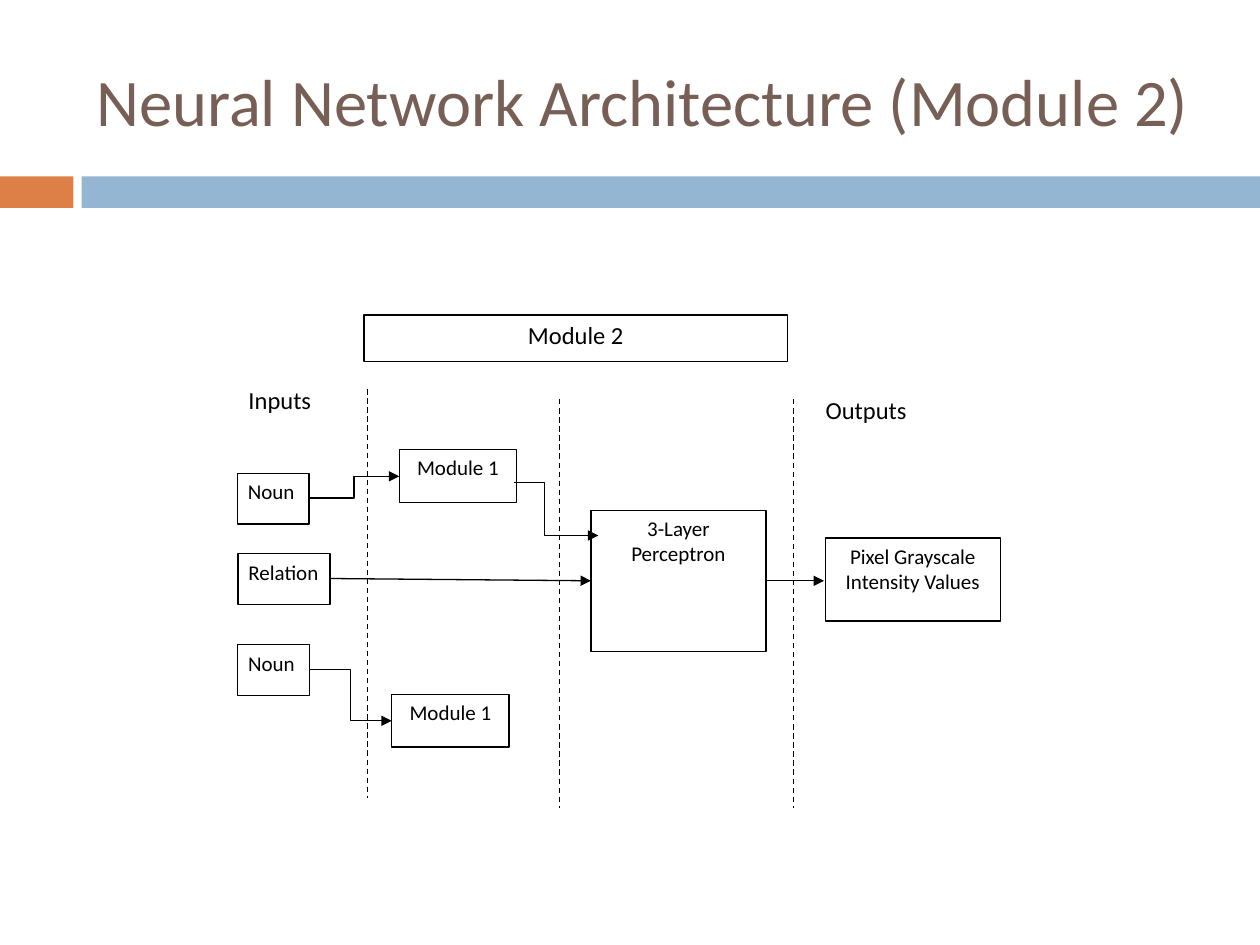
from collections import namedtuple
from dataclasses import dataclass

from lxml import etree
from pptx import Presentation
from pptx.dml.color import RGBColor
from pptx.enum import dml, shapes, text
from pptx.oxml import ns
from pptx.util import Pt


@dataclass(frozen=True)
class Theme:
    font: str = "Calibri"
    title: str = "775F55"
    accent: str = "DD8047"
    bar: str = "94B6D2"
    ink: str = "000000"
    paper: str = "FFFFFF"
    title_size: int = 38
    label_size: int = 14
    node_size: int = 12
    line: float = 0.75


THEME = Theme()
Box = namedtuple("Box", "x y w h")


def color(value):
    return RGBColor.from_string(value)


def add_text(sp, content, size=THEME.node_size, ink=THEME.ink, center=False,
             anchor=text.MSO_ANCHOR.TOP, inset=(6, 3), after=10):
    tf = sp.text_frame
    tf.word_wrap = True
    tf.vertical_anchor = anchor
    tf.margin_left = tf.margin_right = Pt(inset[0])
    tf.margin_top = tf.margin_bottom = Pt(inset[1])
    p = tf.paragraphs[0]
    p.alignment = text.PP_ALIGN.CENTER if center else text.PP_ALIGN.LEFT
    p.space_after = Pt(after)
    r = p.add_run()
    r.text = content
    r.font.name = THEME.font
    r.font.size = Pt(size)
    r.font.color.rgb = color(ink)


def add_rect(s, box, fill, outline=None):
    sp = s.shapes.add_shape(shapes.MSO_SHAPE.RECTANGLE, *map(Pt, box))
    sp.shadow.inherit = False
    sp.fill.solid()
    sp.fill.fore_color.rgb = color(fill)
    if outline:
        sp.line.color.rgb = color(outline)
        sp.line.width = Pt(THEME.line)
    else:
        sp.line.fill.background()
    return sp


def add_label(s, box, content, **fmt):
    add_text(s.shapes.add_textbox(*map(Pt, box)), content, **fmt)


def add_line(s, start, end, bend=None, arrow=False, dashed=False):
    """Straight line, or an elbow turning at the fraction `bend` of its width."""
    kind = shapes.MSO_CONNECTOR.STRAIGHT if bend is None else shapes.MSO_CONNECTOR.ELBOW
    cxn = s.shapes.add_connector(kind, *map(Pt, start + end))
    cxn.line.color.rgb = color(THEME.ink)
    cxn.line.width = Pt(THEME.line)
    if dashed:
        cxn.line.dash_style = dml.MSO_LINE.DASH
    props = cxn._element.spPr
    if bend is not None:
        guides = props.find(ns.qn("a:prstGeom")).get_or_add_avLst()
        etree.SubElement(guides, ns.qn("a:gd"), name="adj1",
                         fmla=f"val {round(bend * 100000)}")
    if arrow:
        etree.SubElement(props.find(ns.qn("a:ln")), ns.qn("a:tailEnd"), type="triangle")
    etree.SubElement(props, ns.qn("a:effectLst"))


def header(s, box):
    add_label(s, Box(box.x + 48, box.y + 18, 642, 78),
              "Neural Network Architecture (Module 2)", size=THEME.title_size,
              ink=THEME.title, anchor=text.MSO_ANCHOR.MIDDLE, inset=(7.2, 3.6), after=0)
    bar_h, accent_w, gap = 18, 42, 4.6
    y = box.y + box.h - bar_h
    bar_x = box.x + accent_w + gap
    add_rect(s, Box(box.x, y, accent_w, bar_h), THEME.accent)
    add_rect(s, Box(bar_x, y, box.x + box.w - bar_x, bar_h), THEME.bar)


def network(s, box):
    """Inputs, two hidden stages and outputs, placed from the top left of the box."""
    def at(x, y):
        return box.x + x, box.y + y

    module, block, row_h = (67, 30.2), (100, 80.6), 28.8
    nodes = [
        ("Module 2", 73, 0, 242, 26.6, THEME.label_size, True),
        ("Module 1", 93.2, 77, *module, THEME.node_size, True),
        ("Module 1", 88.9, 216.7, *module, THEME.node_size, True),
        ("3-Layer Perceptron", 202.7, 111.6, *block, THEME.node_size, True),
        ("Noun", 0.6, 90.7, 41, row_h, THEME.node_size, False),
        ("Relation", 1, 136.5, 52.6, row_h, THEME.node_size, False),
        ("Noun", 0.8, 188.5, 41, row_h, THEME.node_size, False),
        ("Pixel Grayscale Intensity Values", 336.6, 127.4, 100, 47.5,
         THEME.node_size, True),
    ]
    for content, x, y, w, h, size, center in nodes:
        sp = add_rect(s, Box(*at(x, y), w, h), THEME.paper, THEME.ink)
        add_text(sp, content, size=size, center=center)

    for content, x, y in [("Inputs", 1, 36.7), ("Outputs", 330.8, 42.5)]:
        add_label(s, Box(*at(x, y), 60.5, 27.4), content, size=THEME.label_size)

    for x, y in [(75.2, 42.5), (184.7, 48.2), (318.6, 48.2)]:
        add_line(s, at(x, y), at(x, y + 233.3), dashed=True)

    arrows = [
        ((41.6, 104.6), (93.2, 92.2), 0.5),
        ((41.8, 202.5), (88.9, 231.9), 0.5),
        ((53.6, 150.6), (202.7, 151.9), None),
        ((302.7, 151.9), (335.9, 151.9), None),
        ((158.8, 95.8), (207, 126), 0.36),
    ]
    for start, end, bend in arrows:
        add_line(s, at(*start), at(*end), bend=bend, arrow=True)


def main():
    prs = Presentation()
    prs.slide_width, prs.slide_height = Pt(720), Pt(540)
    s = prs.slides.add_slide(prs.slide_layouts[6])
    header(s, Box(0, 0, 720, 118.8))
    network(s, Box(135, 180, 437, 282))
    prs.save("out.pptx")


if __name__ == "__main__":
    main()
